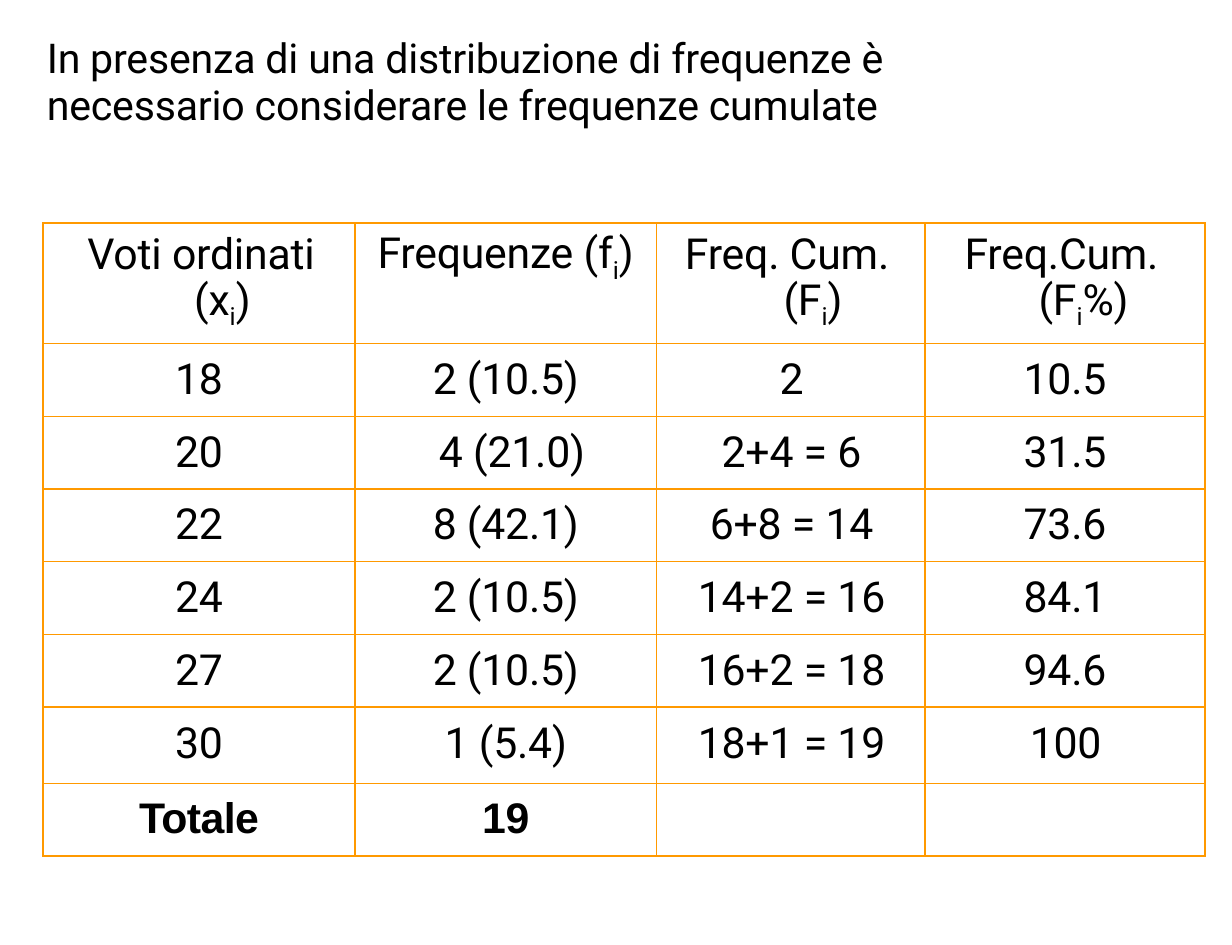
import pptx
import pptx.util
import pptx.dml.color
import pptx.enum.text
import pptx.oxml
import pptx.oxml.ns
from pptx.util import Inches

WIDTHS = [2.53, 2.45, 2.18, 2.27]
HEIGHTS = [0.98] + [0.59] * 5 + [0.62, 0.59]
HEADS = [
    [(["Voti ordinati"], 0.36), (["(x", "i", ")"], 0.38)],
    [(["Frequenze (f", "i", ")"], 0)],
    [(["Freq. Cum."], 0.23), (["(F", "i", ")"], 1.03)],
    [(["Freq.Cum."], 0.32), (["(F", "i", "%)"], 0.92)],
]
ROWS = [
    ["18", "2 (10.5)", "2", "10.5"],
    ["20", "4 (21.0)", "2+4 = 6", "31.5"],
    ["22", "8 (42.1)", "6+8 = 14", "73.6"],
    ["24", "2 (10.5)", "14+2 = 16", "84.1"],
    ["27", "2 (10.5)", "16+2 = 18", "94.6"],
    ["30", "1 (5.4)", "18+1 = 19", "100"],
    ["Totale", "19", "", ""],
]


def color(code):
    return pptx.dml.color.RGBColor.from_string(code)


def style(para, size=25, face="Roboto", bold=False, center=True, indent=0, before=0, line=None):
    para.font.size = pptx.util.Pt(size)
    para.font.name = face
    para.font.bold = bold
    para.font.color.rgb = color("000000")
    align = pptx.enum.text.PP_ALIGN
    para.alignment = align.CENTER if center else align.LEFT
    para.space_before = pptx.util.Pt(before)
    if line:
        para.line_spacing = pptx.util.Pt(line)
    props = para._p.get_or_add_pPr()
    props.set("marL", str(Inches(indent)))
    props.set("indent", "0")


def write(para, parts, track=-10):
    for part in parts:
        run = para.add_run()
        run.text = part
        props = run._r.get_or_add_rPr()
        props.set("spc", str(track))
        if part == "i":
            props.set("baseline", "-25000")


def inset(box, top):
    box.margin_left = box.margin_right = box.margin_bottom = 0
    box.margin_top = Inches(top)


def border(cell, code, width):
    props = cell._tc.get_or_add_tcPr()
    space = pptx.oxml.ns.nsdecls("a")
    for place, side in enumerate("LRTB"):
        props.insert(place, pptx.oxml.parse_xml(
            f'<a:ln{side} {space} w="{pptx.util.Pt(width)}"><a:solidFill>'
            f'<a:srgbClr val="{code}"/></a:solidFill><a:prstDash val="solid"/></a:ln{side}>'))


def add_title(slide):
    title = slide.shapes.title
    title.left, title.top = Inches(0.37), Inches(0.23)
    title.width, title.height = Inches(6.93), Inches(0.82)
    frame = title.text_frame
    inset(frame, 0.04)
    frame.word_wrap = True
    frame.auto_size = pptx.enum.text.MSO_AUTO_SIZE.SHAPE_TO_FIT_TEXT
    frame.vertical_anchor = pptx.enum.text.MSO_ANCHOR.TOP
    para = frame.paragraphs[0]
    style(para, 24, center=False, indent=0.01, before=2.5, line=28)
    write(para, ["In presenza di una distribuzione di frequenze è necessario considerare le frequenze cumulate"])


def add_grid(slide):
    table = slide.shapes.add_table(
        len(HEIGHTS), len(WIDTHS), Inches(0.35), Inches(1.81),
        Inches(sum(WIDTHS)), Inches(sum(HEIGHTS))).table
    table.first_row = table.horz_banding = False
    for column, width in zip(table.columns, WIDTHS):
        column.width = Inches(width)
    for row, height in zip(table.rows, HEIGHTS):
        row.height = Inches(height)
    for cell in table.iter_cells():
        cell.fill.background()
        border(cell, "FF9900", 1)
    return table


def fill_heads(table):
    for col, lines in enumerate(HEADS):
        cell = table.cell(0, col)
        inset(cell, 0.05)
        for step, (parts, indent) in enumerate(lines):
            frame = cell.text_frame
            para = frame.add_paragraph() if step else frame.paragraphs[0]
            style(para, center=col == 1 or (col == 0 and step == 1), indent=indent,
                  before=0 if step else 3.6, line=30 if len(lines) > 1 else None)
            write(para, parts)


def fill_rows(table):
    for row, words in enumerate(ROWS, 1):
        total = words[0] == "Totale"
        top, before = (0.1, 7.3) if words[0] == "30" else (0.09, 6.2)
        for col, word in enumerate(words):
            if not word:
                continue
            cell = table.cell(row, col)
            inset(cell, top)
            indent = 0.1 if word == "4 (21.0)" else 0.01 if col == 2 or word == "100" else 0
            para = cell.text_frame.paragraphs[0]
            style(para, face="Arial" if total else "Roboto", bold=total,
                  indent=indent, before=before)
            write(para, [word], -30 if word == "Totale" else -10)


def main():
    deck = pptx.Presentation()
    deck.slide_width, deck.slide_height = Inches(10), Inches(7.67)
    slide = deck.slides.add_slide(deck.slide_layouts[5])
    add_title(slide)
    table = add_grid(slide)
    fill_heads(table)
    fill_rows(table)
    deck.save("out.pptx")


if __name__ == "__main__":
    main()
